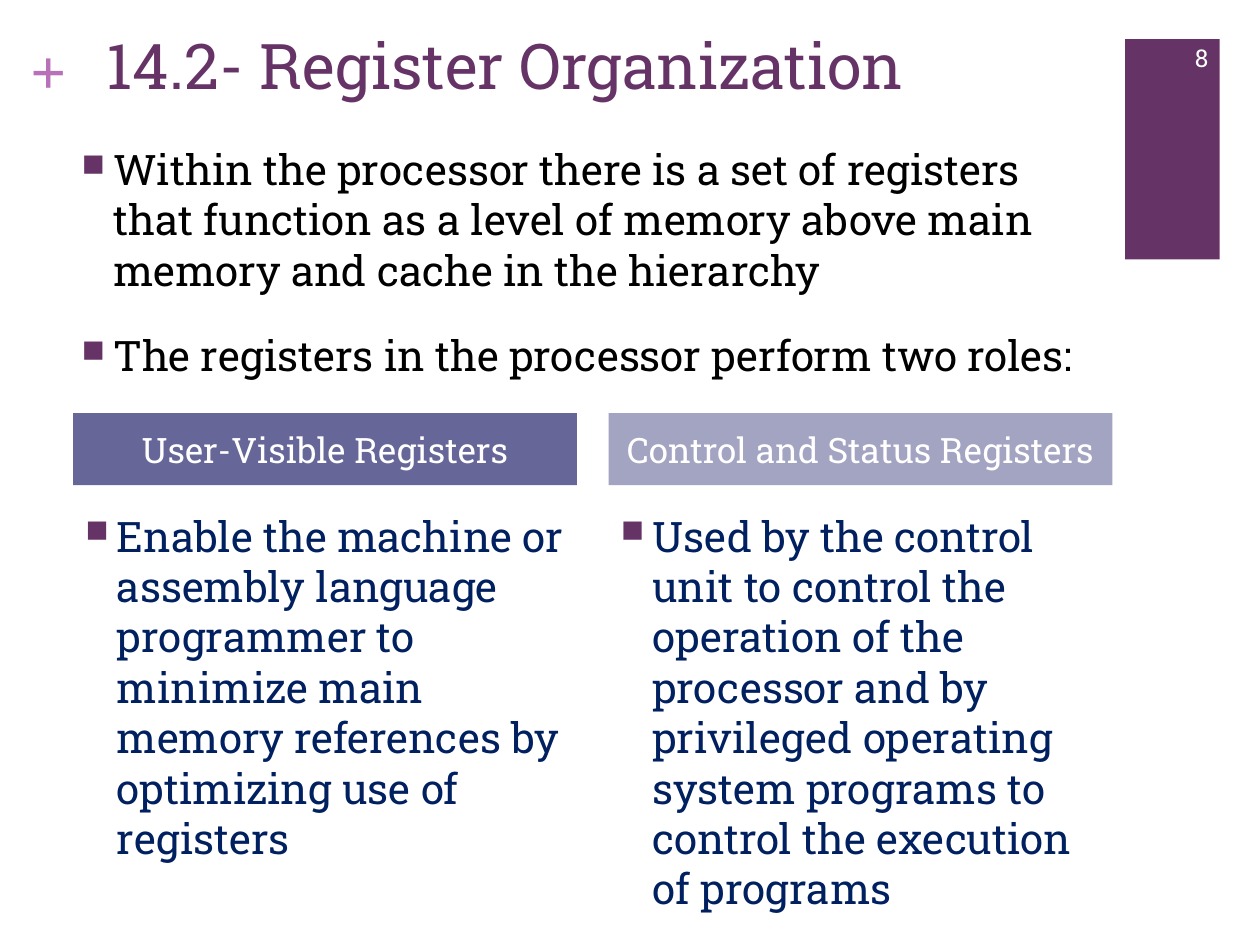
"""Build the Register Organization slide."""
from lxml.etree import SubElement
from pptx import Presentation
from pptx.dml.color import RGBColor
from pptx.enum.shapes import MSO_SHAPE
from pptx.enum.text import MSO_ANCHOR, PP_ALIGN
from pptx.oxml.ns import qn
from pptx.util import Inches, Pt

PURPLE = RGBColor(0x66, 0x33, 0x66)
ORCHID = RGBColor(0xB8, 0x70, 0xB8)
INDIGO = RGBColor(0x66, 0x66, 0x99)
LAVENDER = RGBColor(0xA3, 0xA3, 0xC2)
NAVY = RGBColor(0x00, 0x20, 0x60)
BLACK = RGBColor(0, 0, 0)
WHITE = RGBColor(255, 255, 255)

TITLE = "14.2- Register Organization"
POINTS = [
    "Within the processor there is a set of registers that function as a level of "
    "memory above main memory and cache in the hierarchy",
    "The registers in the processor perform two roles:",
]
ROLES = [
    ("User-Visible Registers", INDIGO,
     "Enable the machine or assembly language programmer to minimize main memory "
     "references by optimizing use of registers"),
    ("Control and Status Registers", LAVENDER,
     "Used by the control unit to control the operation of the processor and by "
     "privileged operating system programs to control the execution of programs"),
]
COLUMN_LEFT, COLUMN_WIDTH, COLUMN_GAP = 0.58, 4, 0.25
HEADING_TOP, HEADING_HEIGHT = 3.28, 0.57
DETAIL_TOP, DETAIL_HEIGHT = 4, 2.4


def add_bullet(paragraph):
    paragraph.space_before = Pt(20)
    properties = paragraph._p.get_or_add_pPr()
    properties.set("marL", str(Inches(0.25)))
    properties.set("indent", str(-Inches(0.25)))
    color = SubElement(properties, qn("a:buClr"))
    SubElement(color, qn("a:srgbClr"), val=str(PURPLE))
    SubElement(properties, qn("a:buSzPct"), val="75000")
    SubElement(properties, qn("a:buChar"), char="■")


def write(shape, texts, size, color, bullets=False, align=PP_ALIGN.LEFT,
          anchor=MSO_ANCHOR.TOP, margins=(0.1, 0.05), font="Roboto Slab", bold=False):
    frame = shape.text_frame
    horizontal, vertical = map(Inches, margins)
    layout = {"word_wrap": True, "vertical_anchor": anchor,
              "margin_left": horizontal, "margin_right": horizontal,
              "margin_top": vertical, "margin_bottom": vertical}
    for name, value in layout.items():
        setattr(frame, name, value)
    for index, text in enumerate(texts):
        paragraph = frame.add_paragraph() if index else frame.paragraphs[0]
        paragraph.alignment = align
        if bullets:
            add_bullet(paragraph)
        run = paragraph.add_run()
        run.text = text
        for name, value in {"name": font, "size": Pt(size), "bold": bold}.items():
            setattr(run.font, name, value)
        run.font.color.rgb = color


def add_text(slide, box, *content, **options):
    write(slide.shapes.add_textbox(*map(Inches, box)), *content, **options)


def add_block(slide, box, color):
    shape = slide.shapes.add_shape(MSO_SHAPE.RECTANGLE, *map(Inches, box))
    shape.shadow.inherit = False
    shape.fill.solid()
    shape.fill.fore_color.rgb = color
    shape.line.fill.background()
    return shape


def main():
    presentation = Presentation()
    presentation.slide_width, presentation.slide_height = Inches(10), Inches(7.5)
    slide = presentation.slides.add_slide(presentation.slide_layouts[6])

    add_block(slide, (8.93, 0.31, 0.75, 1.75), PURPLE)
    add_text(slide, (0.24, 0.25, 0.29, 0.61), ["+"], 36, ORCHID,
             margins=(0, 0), font="Times New Roman", bold=True)
    add_text(slide, (0.75, 0.16, 8.26, 0.66), [TITLE], 36, PURPLE)
    add_text(slide, (0.55, 1.09, 8.31, 2), POINTS, 24, BLACK, bullets=True)

    for column, (heading, color, detail) in enumerate(ROLES):
        left = COLUMN_LEFT + column * (COLUMN_WIDTH + COLUMN_GAP)
        block = add_block(slide, (left, HEADING_TOP, COLUMN_WIDTH, HEADING_HEIGHT), color)
        write(block, [heading], 20, WHITE, align=PP_ALIGN.CENTER,
              anchor=MSO_ANCHOR.MIDDLE, margins=(0.1, 0))
        add_text(slide, (left, DETAIL_TOP, COLUMN_WIDTH, DETAIL_HEIGHT),
                 [detail], 24, NAVY, bullets=True)

    add_text(slide, (9.08, 0.26, 0.61, 0.4), ["8"], 14, WHITE,
             align=PP_ALIGN.RIGHT, anchor=MSO_ANCHOR.MIDDLE)
    presentation.save("out.pptx")


if __name__ == "__main__":
    main()
